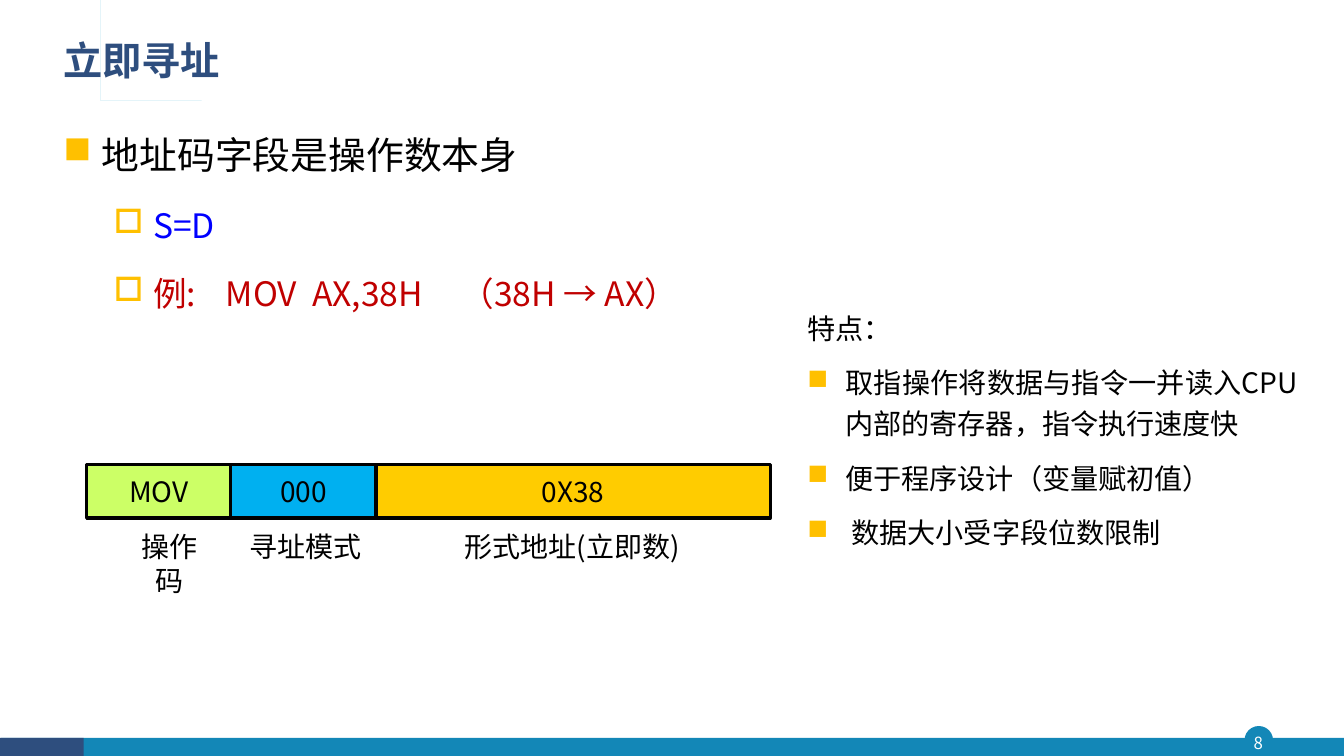
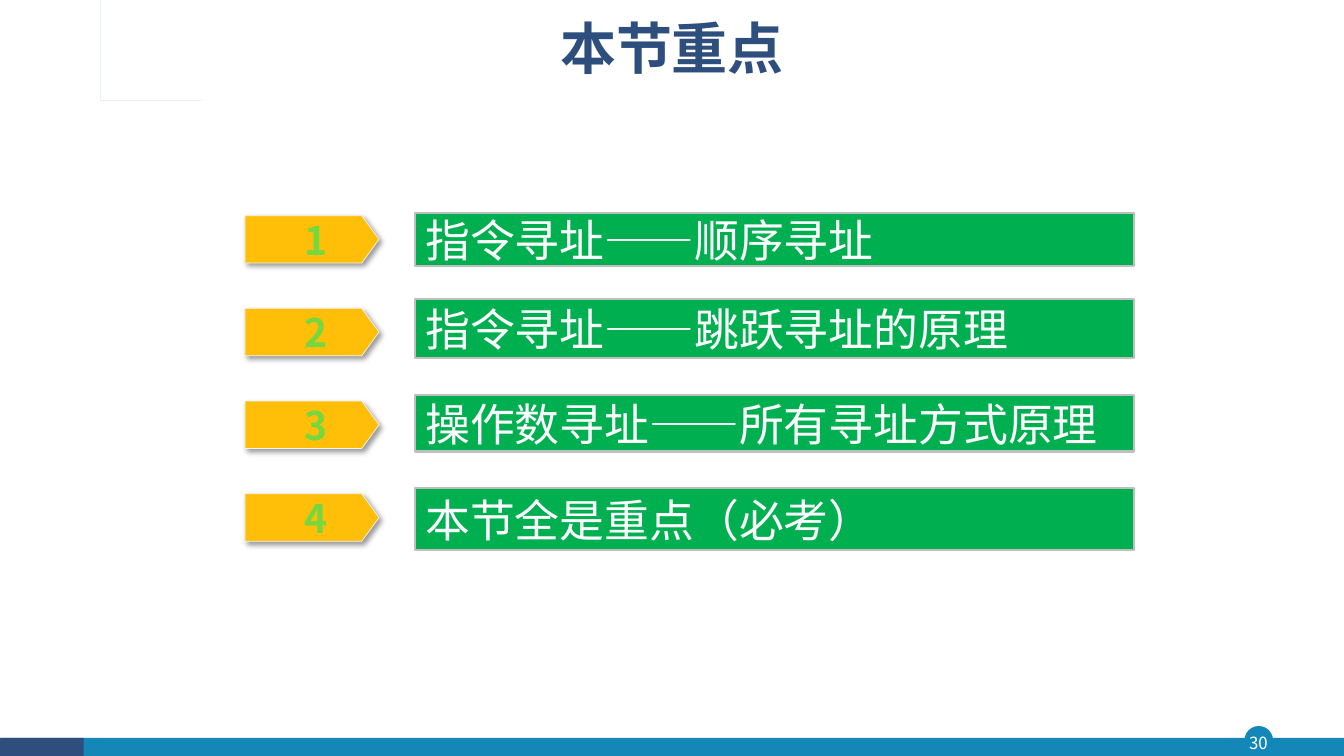
from lxml import etree
from pptx import Presentation
from pptx import util as u
from pptx.dml.color import RGBColor
from pptx.enum import shapes, text
from pptx.oxml import ns, parse_xml

COLORS = {
    "navy": "2E4E7E", "teal": "1387B7", "sky": "28A9D6", "white": "FFFFFF",
    "black": "000000", "amber": "FFC000", "blue": "0000FF", "red": "C00000",
    "lime": "CCFF66", "cyan": "00B0F0", "gold": "FFCC00", "green": "00B050",
    "gray": "BFBFBF", "arrow": "FFBF09", "edge": "F2F2F2", "number": "75D840",
}
FONT = "Noto Sans CJK SC"
TITLE_FONT = "Noto Sans CJK JP"
LEFT, CENTER, JUSTIFY = text.PP_ALIGN.LEFT, text.PP_ALIGN.CENTER, text.PP_ALIGN.JUSTIFY
RECT, OVAL, PENTAGON = (shapes.MSO_SHAPE.RECTANGLE, shapes.MSO_SHAPE.OVAL,
                        shapes.MSO_SHAPE.PENTAGON)
SHADOW = (
    f'<a:effectLst {ns.nsdecls("a")}><a:outerShdw blurRad="50800" dist="38100" '
    'dir="2700000" algn="tl" rotWithShape="0"><a:srgbClr val="000000">'
    '<a:alpha val="40000"/></a:srgbClr></a:outerShdw></a:effectLst>'
)


def block(slide, at, kind=None, fill=None, line=None, weight=1):
    place = [u.Inches(value) for value in at]
    if kind is None:
        return slide.shapes.add_textbox(*place)
    shape = slide.shapes.add_shape(kind, *place)
    shape.shadow.inherit = False
    shape.fill.solid()
    shape.fill.fore_color.rgb = RGBColor.from_string(COLORS[fill])
    if line:
        shape.line.color.rgb = RGBColor.from_string(COLORS[line])
        shape.line.width = u.Pt(weight)
    else:
        shape.line.fill.background()
    return shape


def write(shape, *pieces, size=20, color="black", font=FONT, bold=False, align=LEFT,
          middle=False, wrap=True, spacing=None, before=0, bullet=None, indent=0.38,
          hang=0.38, margins=None):
    frame = shape.text_frame
    frame.word_wrap = wrap
    frame.vertical_anchor = text.MSO_ANCHOR.MIDDLE if middle else text.MSO_ANCHOR.TOP
    if margins:
        (frame.margin_left, frame.margin_top,
         frame.margin_right, frame.margin_bottom) = map(u.Inches, margins)
    paragraph = frame.add_paragraph() if frame.text else frame.paragraphs[0]
    if bullet:
        props = paragraph._p.get_or_add_pPr()
        props.set("marL", str(u.Inches(indent)))
        props.set("indent", str(-u.Inches(hang)))
        tint = etree.SubElement(props, ns.qn("a:buClr"))
        etree.SubElement(tint, ns.qn("a:srgbClr"), val=COLORS["amber"])
        etree.SubElement(props, ns.qn("a:buFont"), typeface="Wingdings")
        etree.SubElement(props, ns.qn("a:buChar"), char=bullet)
    paragraph.alignment = align
    if spacing:
        paragraph.line_spacing = spacing
    if before:
        paragraph.space_before = u.Pt(before)
    for piece in pieces:
        run = paragraph.add_run()
        run.text = piece
        run.font.size = u.Pt(size)
        run.font.bold = bold
        run.font.color.rgb = RGBColor.from_string(COLORS[color])
        run.font.name = font
        etree.SubElement(run._r.get_or_add_rPr(), ns.qn("a:ea"), typeface=font)
    return paragraph


deck = Presentation()
deck.slide_width, deck.slide_height = u.Inches(13.33), u.Inches(7.5)

CORNER = [
    (0.54, 0.39), (0.54, 0.85), (1.87, 0.85), (1.87, 0.87), (0.52, 0.87), (0.52, 0.41),
    (0.47, 0.41), (0.47, 0.87), (0.36, 0.87), (0.36, 0.39), (0.39, 0.39), (0.39, 0.84),
    (0.44, 0.84), (0.44, 0.39),
]
PAGES = [
    ("8", "立即寻址", (0.53, 0.28, 11.5, 0.68), dict(size=28, font=TITLE_FONT)),
    ("30", "本节重点", (3.1, 0.09, 7.13, 0.83), dict(size=40, align=CENTER)),
]
for number, title, title_at, title_format in PAGES:
    slide = deck.slides.add_slide(deck.slide_layouts[6])
    block(slide, (12.35, 7.21, 0.27, 0.27), OVAL, "teal", "teal")
    block(slide, (0.01, 7.32, 13.32, 0.19), RECT, "teal")
    block(slide, (0, 7.32, 0.83, 0.19), RECT, "navy")
    write(block(slide, (12.32, 7.21, 0.32, 0.31)), number, size=12, color="white",
          align=CENTER, middle=True, margins=(0, 0, 0, 0))
    outline = slide.shapes.build_freeform(*CORNER[0], scale=u.Inches(1))
    outline.add_line_segments(CORNER[1:], close=True)
    corner = outline.convert_to_shape()
    corner.shadow.inherit = False
    corner.fill.solid()
    corner.fill.fore_color.rgb = RGBColor.from_string(COLORS["sky"])
    corner.line.fill.background()
    write(block(slide, title_at), title, color="navy", bold=True, middle=True,
          spacing=0.9, **title_format)

addressing, summary = deck.slides

definition = block(addressing, (0.53, 1.03, 11.5, 2.38))
write(definition, "地址码字段是操作数本身", size=27, align=JUSTIFY, bullet="n",
      spacing=u.Pt(49))
detail = dict(size=24, align=JUSTIFY, bullet="o", indent=0.89, hang=0.39,
              spacing=u.Pt(43.6), before=5)
write(definition, "S=D", color="blue", **detail)
example = write(definition, "例:", " ", "MOV  AX,38H", " ", "（38H → AX）",
                color="red", **detail)
for gap, points in zip(example.runs[1::2], (16, 21.5)):
    gap._r.get_or_add_rPr().set("spc", str(int(points * 100)))

FIELDS = [("MOV", "lime", 1.43), ("000", "cyan", 1.44), ("0X38", "gold", 3.91)]
field_left = 0.86
for value, fill, width in FIELDS:
    field = block(addressing, (field_left, 4.61, width, 0.53), RECT, fill, "black", 2.25)
    write(field, value, align=CENTER, middle=True, wrap=False)
    field_left += width

LABELS = [
    ("操作码", 1.17, 1.03, CENTER, False),
    ("寻址模式", 2.37, 1.32, CENTER, False),
    ("形式地址(立即数)", 4.51, 2.4, LEFT, True),
]
for label, left, width, align, wrap in LABELS:
    write(block(addressing, (left, 5.2, width, 0.44)), label, align=align, wrap=wrap,
          spacing=u.Pt(24.3))

features = block(addressing, (7.91, 2.97, 5.06, 3.09))
feature_format = dict(size=20.1, align=JUSTIFY, spacing=u.Pt(29))
write(features, "特点：", **feature_format)
FEATURES = [
    ("取指操作将数据与指令一并读入CPU内部的寄存器，指令执行速度快", 0.38),
    ("便于程序设计（变量赋初值）", 0.38),
    ("数据大小受字段位数限制", 0.44),
]
for feature, indent in FEATURES:
    write(features, feature, bullet="n", indent=indent, hang=indent, before=10,
          **feature_format)

TOPICS = [
    ("指令寻址——顺序寻址", 2.11, 0.53),
    ("指令寻址——跳跃寻址的原理", 2.97, 0.58),
    ("操作数寻址——所有寻址方式原理", 3.92, 0.56),
    ("本节全是重点（必考）", 4.84, 0.62),
]
for index, (topic, top, height) in enumerate(TOPICS):
    marker = block(summary, (2.43, 2.14 + 0.92 * index, 1.33, 0.47), PENTAGON,
                   "arrow", "edge", 0.5)
    marker.adjustments[0] = 0.365
    properties = marker._element.spPr
    properties.replace(properties.find(ns.qn("a:effectLst")), parse_xml(SHADOW))
    write(marker, str(index + 1), size=28, color="number", bold=True, align=CENTER,
          middle=True, margins=(0.17, 0, 0, 0))
    bar = block(summary, (4.12, top, 7.13, height), RECT, "green", "gray", 1.5)
    write(bar, topic, size=32, color="white", middle=True)

deck.save("out.pptx")
